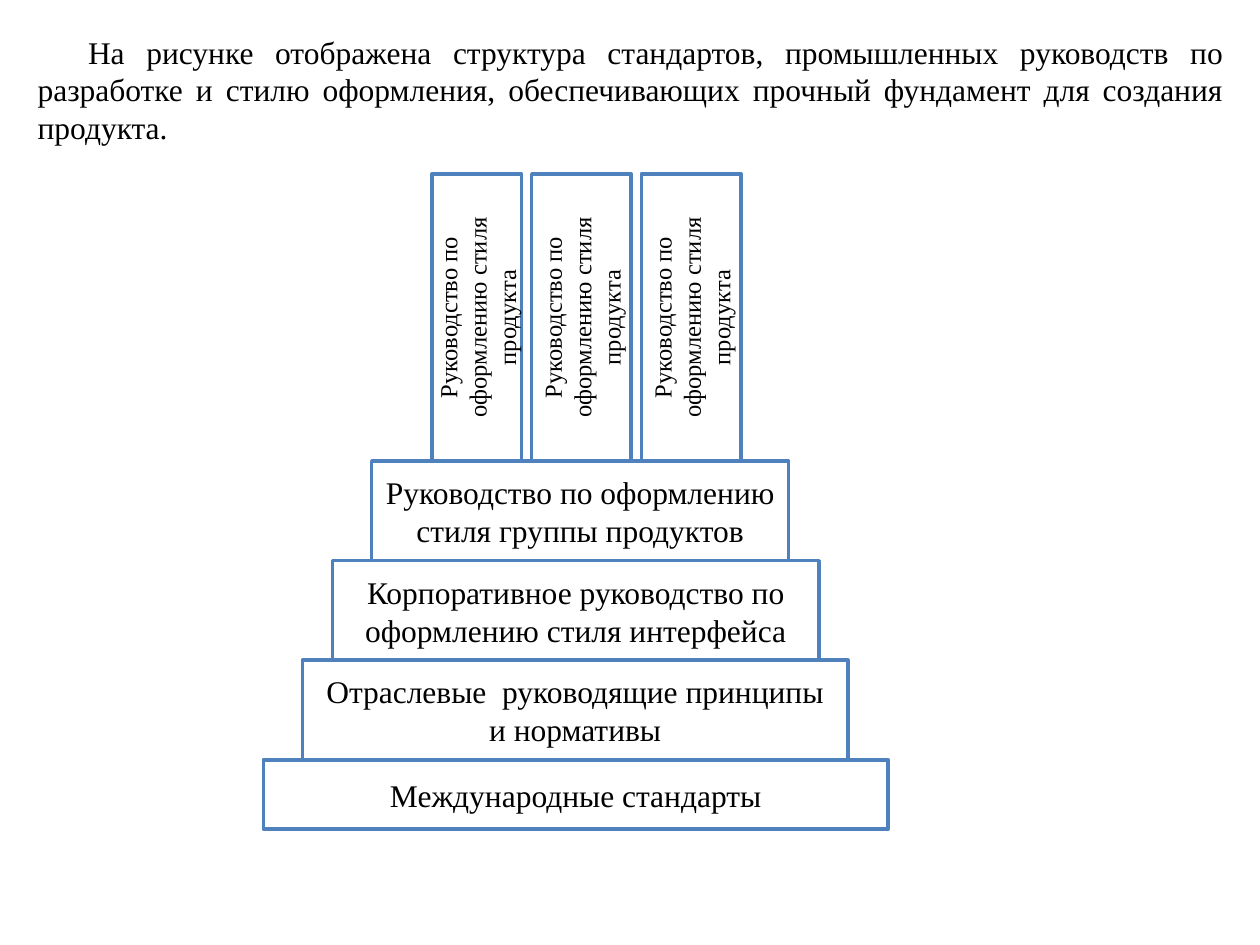
from pptx import Presentation
from pptx.dml.color import RGBColor
from pptx.enum.shapes import MSO_SHAPE
from pptx.enum.text import MSO_ANCHOR, MSO_AUTO_SIZE, PP_ALIGN
from pptx.util import Inches, Pt

THEME = {
    "font": "Times New Roman",
    "text": RGBColor(0x00, 0x00, 0x00),
    "fill": RGBColor(0xFF, 0xFF, 0xFF),
    "line": RGBColor(0x4F, 0x81, 0xBD),
    "line_width": Pt(2),
    "body": Pt(18),
    "small": Pt(14),
}

INTRO = (
    "На рисунке отображена структура стандартов, промышленных руководств по "
    "разработке и стилю оформления, обеспечивающих прочный фундамент для "
    "создания продукта."
)
# Layers from the bottom up: text, left, width, height
LAYERS = [
    ("Международные стандарты", 2.09, 4.96, 0.55),
    ("Отраслевые  руководящие принципы и нормативы", 2.4, 4.33, 0.79),
    ("Корпоративное руководство по оформлению стиля интерфейса", 2.64, 3.86, 0.79),
    ("Руководство по оформлению стиля группы продуктов", 2.95, 3.31, 0.79),
]
BASE_BOTTOM = 6.58

PILLAR_TEXT = "Руководство по оформлению стиля продукта"
PILLAR_WIDTHS = [0.71, 0.79, 0.79]
PILLAR_LEFT, PILLAR_GAP, PILLAR_HEIGHT = 3.43, 0.08, 2.28


def write(tf, text, size, align):
    tf.word_wrap = True
    tf.text = text
    p = tf.paragraphs[0]
    p.alignment = align
    font = p.runs[0].font
    font.name, font.size = THEME["font"], size
    font.color.rgb = THEME["text"]
    return p


def add_block(s, text, left, top, width, height, size):
    sp = s.shapes.add_shape(
        MSO_SHAPE.RECTANGLE, Inches(left), Inches(top), Inches(width), Inches(height)
    )
    sp.shadow.inherit = False
    sp.fill.solid()
    sp.fill.fore_color.rgb = THEME["fill"]
    sp.line.color.rgb = THEME["line"]
    sp.line.width = THEME["line_width"]
    sp.text_frame.vertical_anchor = MSO_ANCHOR.MIDDLE
    write(sp.text_frame, text, size, PP_ALIGN.CENTER)
    return sp


def main():
    prs = Presentation()
    prs.slide_width, prs.slide_height = Inches(10), Inches(7.5)
    s = prs.slides.add_slide(prs.slide_layouts[6])

    top = BASE_BOTTOM
    for text, left, width, height in LAYERS:
        top -= height
        add_block(s, text, left, top, width, height, THEME["body"])

    top -= PILLAR_HEIGHT
    left = PILLAR_LEFT
    for width in PILLAR_WIDTHS:
        sp = add_block(s, PILLAR_TEXT, left, top, width, PILLAR_HEIGHT, THEME["small"])
        sp.element.txBody.bodyPr.set("vert", "vert270")
        left += width + PILLAR_GAP

    intro = s.shapes.add_textbox(Inches(0.2), Inches(0.21), Inches(9.61), Inches(1.01))
    p = write(intro.text_frame, INTRO, THEME["body"], PP_ALIGN.JUSTIFY)
    intro.text_frame.auto_size = MSO_AUTO_SIZE.SHAPE_TO_FIT_TEXT
    p._p.get_or_add_pPr().set("indent", str(Inches(0.4)))

    prs.save("out.pptx")


if __name__ == "__main__":
    main()
